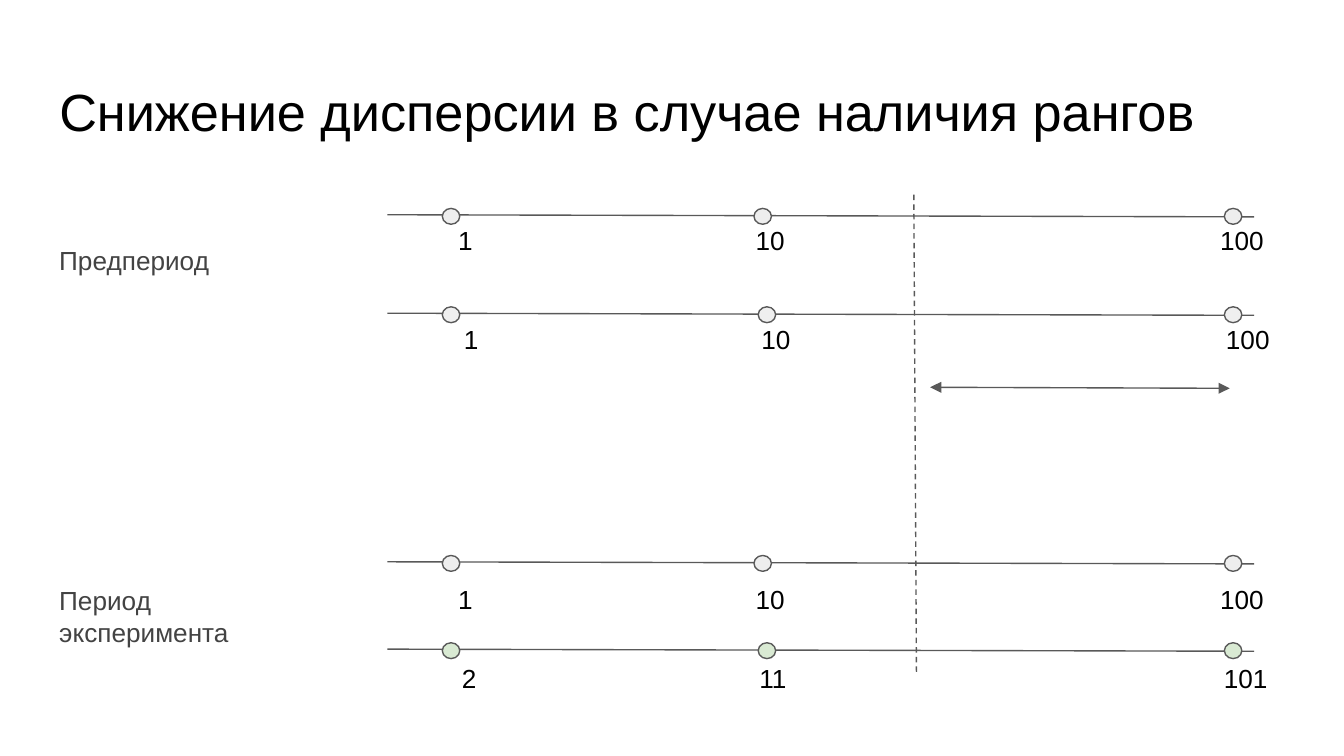
from pptx import Presentation
from pptx.dml.color import RGBColor
from pptx.enum import dml, shapes, text
from pptx.oxml.ns import qn
from pptx.util import Cm, Pt
from lxml import etree

BLACK = RGBColor(0x00, 0x00, 0x00)
GRAY = RGBColor(0x43, 0x43, 0x43)
INK = RGBColor(0x59, 0x59, 0x59)
PALE = RGBColor(0xEE, 0xEE, 0xEE)
LIGHT = RGBColor(0xEF, 0xEF, 0xEF)
GREEN = RGBColor(0xD9, 0xEA, 0xD3)

# Content, lengths in cm
TITLE = "Снижение дисперсии в случае наличия рангов"
# axis top, middle dot left, dot fill, ranks, ranks left, ranks top
ROWS = [
    (4.06, 14.25, PALE, ("1", "10", "100"), 8.41, 3.99),
    (5.92, 14.33, LIGHT, ("1", "10", "100"), 8.52, 5.87),
    (10.62, 14.25, PALE, ("1", "10", "100"), 8.41, 10.77),
    (12.27, 14.33, GREEN, ("2", "11", "101"), 8.48, 12.27),
]
# text, top, height
LABELS = [("Предпериод", 4.37, 1.12), ("Период эксперимента", 10.8, 1.7)]
AXIS = (7.32, 23.7)
DROP = 0.04
DOT = (0.33, 0.3)
ENDS = (8.36, 23.14)
TABS = (5.62, 14.4)
INSET = 0.25

deck = Presentation()
deck.slide_width, deck.slide_height = Cm(25.4), Cm(14.29)
slide = deck.slides.add_slide(deck.slide_layouts[5])


def write(shape, words, size, color):
    frame = shape.text_frame
    frame.word_wrap = True
    frame.auto_size = text.MSO_AUTO_SIZE.NONE
    frame.vertical_anchor = text.MSO_ANCHOR.TOP
    frame.margin_left = frame.margin_right = Cm(INSET)
    frame.margin_top = frame.margin_bottom = Cm(INSET)
    para = frame.paragraphs[0]
    para.alignment = text.PP_ALIGN.LEFT
    run = para.add_run()
    run.text = words
    run.font.name, run.font.size = "Arial", Pt(size)
    run.font.color.rgb = color
    return para


def box(x, y, w, h, words, color):
    shape = slide.shapes.add_textbox(Cm(x), Cm(y), Cm(w), Cm(h))
    return write(shape, words, 14, color)


def line(x1, y1, x2, y2):
    link = slide.shapes.add_connector(
        shapes.MSO_CONNECTOR.STRAIGHT, Cm(x1), Cm(y1), Cm(x2), Cm(y2))
    link.line.color.rgb, link.line.width = INK, Pt(0.75)
    etree.SubElement(link._element.spPr, qn("a:effectLst"))
    return link


def dot(x, y, fill):
    mark = slide.shapes.add_shape(
        shapes.MSO_SHAPE.FLOWCHART_CONNECTOR,
        Cm(x), Cm(y), Cm(DOT[0]), Cm(DOT[1]))
    mark.shadow.inherit = False
    mark.fill.solid()
    mark.fill.fore_color.rgb = fill
    mark.line.color.rgb, mark.line.width = INK, Pt(0.75)


def set_tabs(para):
    stops = etree.SubElement(para._p.get_or_add_pPr(), qn("a:tabLst"))
    for stop in TABS:
        etree.SubElement(stops, qn("a:tab"), pos=str(int(Cm(stop))), algn="l")


# Title
title = slide.shapes.title
title.left, title.top = Cm(0.87), Cm(1.24)
title.width, title.height = Cm(23.67), Cm(1.6)
write(title, TITLE, 28, BLACK)

# Rank axes with dots and values
for y, mid, fill, ranks, left, top in ROWS:
    line(AXIS[0], y, AXIS[1], y + DROP)
    for x in (ENDS[0], mid, ENDS[1]):
        dot(x, y - 0.12, fill)
    set_tabs(box(left, top, 16.38, 1.12, "\t".join(ranks), BLACK))

# Period labels
for words, top, high in LABELS:
    box(0.87, top, 4.95, high, words, GRAY)

# Dashed border and the span beyond it
border = line(17.27, 3.68, 17.32, 12.75)
border.line.dash_style = dml.MSO_LINE.DASH
span = line(17.58, 7.32, 23.24, 7.34)
for end in ("a:headEnd", "a:tailEnd"):
    etree.SubElement(span.line._get_or_add_ln(), qn(end), type="triangle")

deck.save("out.pptx")
